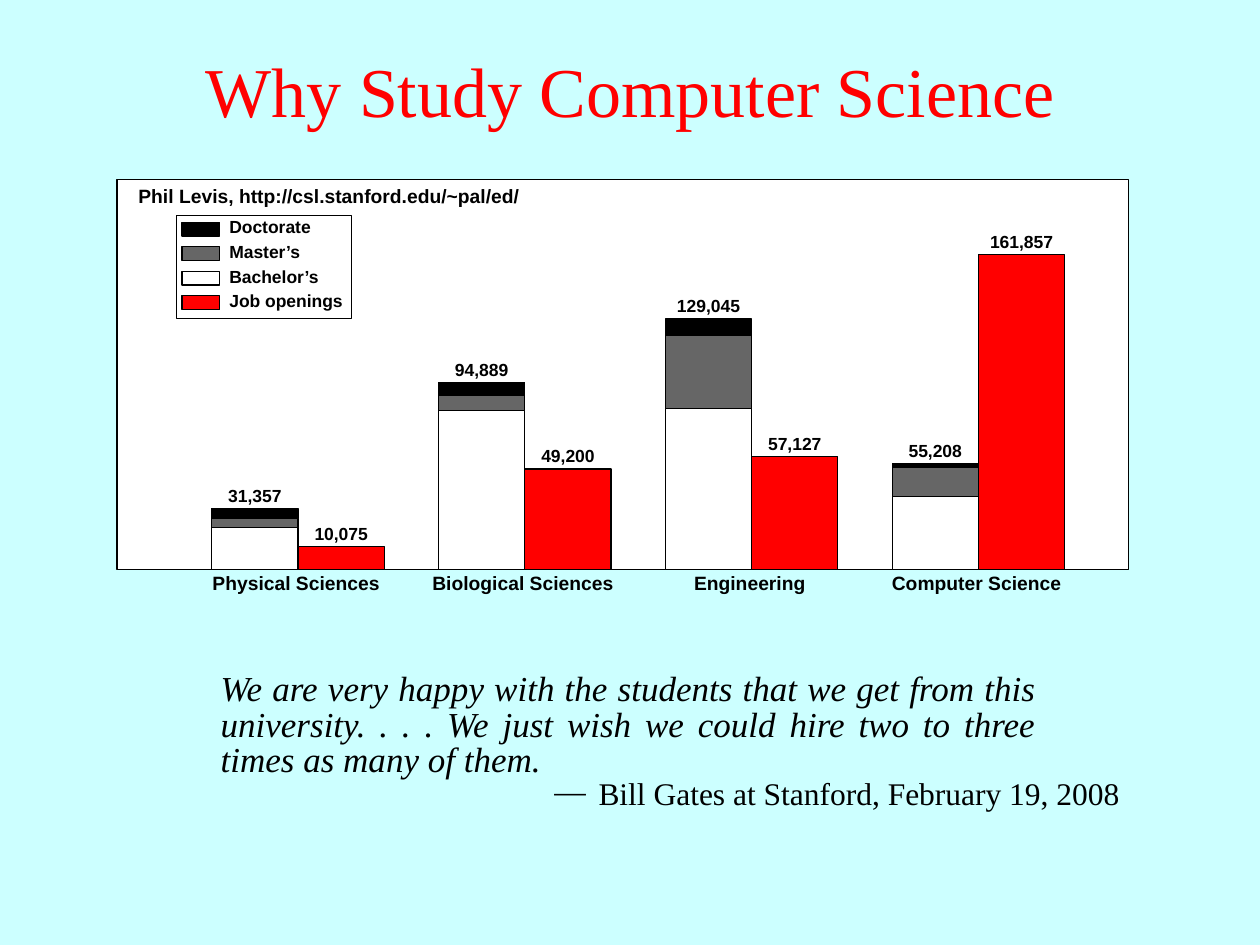
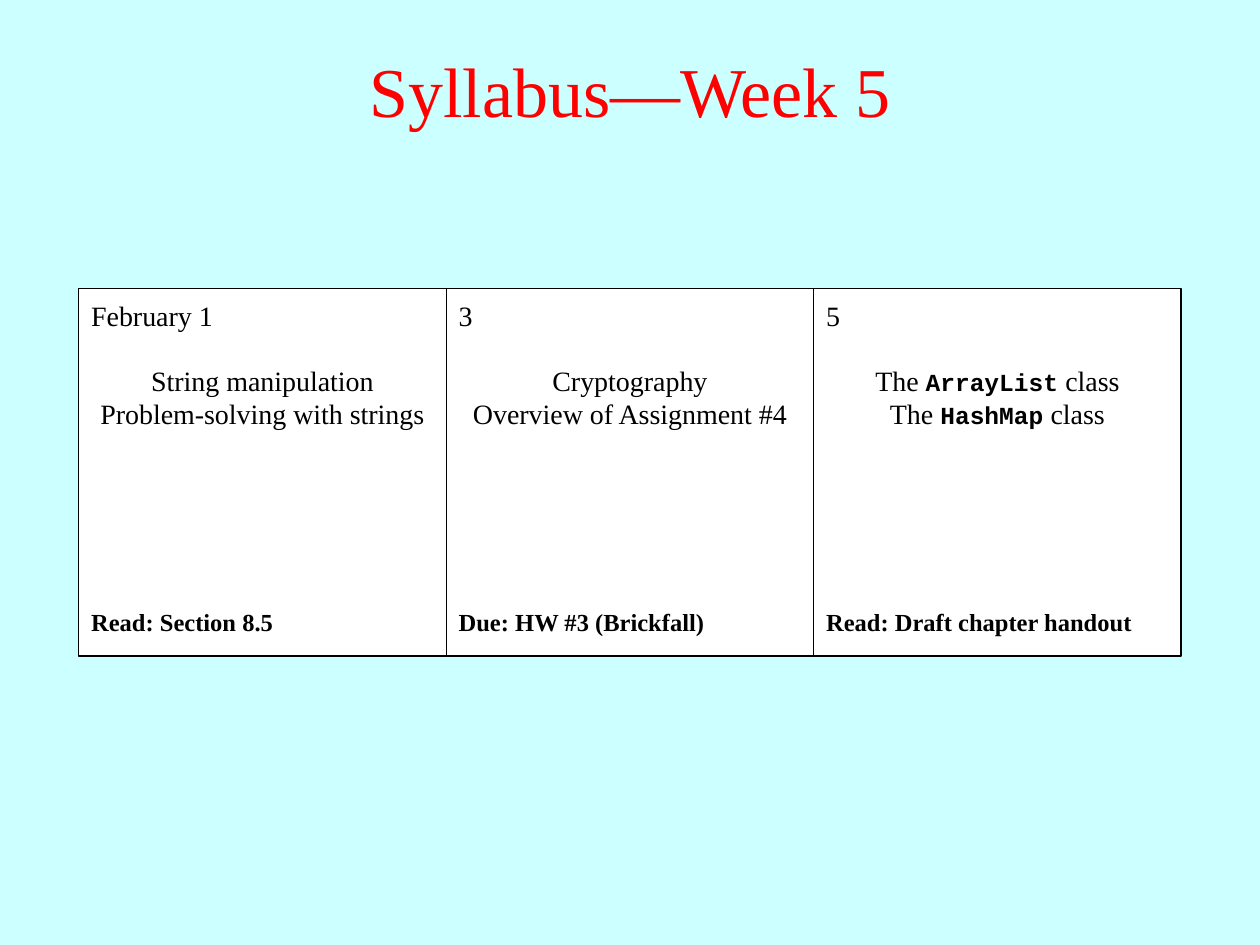
from dataclasses import dataclass

from pptx import Presentation
from pptx.dml.color import RGBColor
from pptx.enum.shapes import MSO_SHAPE
from pptx.enum.text import MSO_ANCHOR, MSO_AUTO_SIZE, PP_ALIGN
from pptx.presentation import Presentation as Deck
from pptx.shapes.autoshape import Shape
from pptx.slide import Slide
from pptx.util import Pt

RECTANGLE = MSO_SHAPE.RECTANGLE
TOP, MIDDLE = MSO_ANCHOR.TOP, MSO_ANCHOR.MIDDLE
NO_AUTOFIT = MSO_AUTO_SIZE.NONE
LEFT, CENTER, JUSTIFY = PP_ALIGN.LEFT, PP_ALIGN.CENTER, PP_ALIGN.JUSTIFY

# Shared look
PAGE_WIDTH, PAGE_HEIGHT = 720, 540
TITLE_ONLY_LAYOUT = 5
SERIF, SANS, MONO = "Times New Roman", "Arial", "Courier New"
BACKGROUND, BLACK, WHITE, GRAY, RED = "CCFFFF", "000000", "FFFFFF", "666666", "FF0000"

# Bar chart geometry
BASELINE = 325.4
FIRST_GROUP_LEFT, GROUP_PITCH = 121, 129.6
BAR_WIDTH = 49.3
VALUE_WIDTH, VALUE_RISE = 56, 17
CATEGORY_WIDTH = 144
LEGEND_PITCH = 14

# Syllabus geometry
CARD_LEFT, CARD_TOP, CARD_SIZE = 45, 165, 210


@dataclass(frozen=True)
class Span:
    text: str
    font: str
    size: float
    bold: bool = False


@dataclass(frozen=True)
class Field:
    """One pair of bars; heights are in points, degrees from the bottom up."""
    name: str
    degree_heights: tuple[float, float, float]
    degree_total: str
    job_height: float
    job_total: str


@dataclass(frozen=True)
class ClassDay:
    date: str
    topics: list[str | list[Span]]
    note: str


DEGREE_COLORS = (WHITE, GRAY, BLACK)
LEGEND = (("Doctorate", BLACK), ("Master’s", GRAY),
          ("Bachelor’s", WHITE), ("Job openings", RED))

FIELDS = (
    Field("Physical Sciences", (23.8, 5.4, 5.8), "31,357", 13, "10,075"),
    Field("Biological Sciences", (90.6, 8.8, 7.6), "94,889", 57.4, "49,200"),
    Field("Engineering", (92, 41.9, 9.2), "129,045", 64.6, "57,127"),
    Field("Computer Science", (41.6, 16.9, 2), "55,208", 180, "161,857"),
)


def class_topic(name: str) -> list[Span]:
    return [Span("The ", SERIF, 16), Span(name, MONO, 14, True),
            Span(" class", SERIF, 16)]


WEEK = (
    ClassDay("February 1", ["String manipulation", "Problem-solving with strings"],
             "Read: Section 8.5"),
    ClassDay("3", ["Cryptography", "Overview of Assignment #4"],
             "Due: HW #3 (Brickfall)"),
    ClassDay("5", [class_topic("ArrayList"), class_topic("HashMap")],
             "Read: Draft chapter handout"),
)


def color(value: str) -> RGBColor:
    return RGBColor.from_string(value)


def write_text(box: Shape, paragraphs: list[str | list[Span]], *, font: str = SERIF,
               size: float = 16, text_color: str = BLACK, bold: bool = False,
               italic: bool = False, align: PP_ALIGN = LEFT,
               anchor: MSO_ANCHOR = TOP, spacing: float = 1.0,
               side_margin: float = 7.2) -> None:
    frame = box.text_frame
    frame.word_wrap = True
    frame.auto_size = NO_AUTOFIT
    frame.vertical_anchor = anchor
    frame.margin_left = frame.margin_right = Pt(side_margin)
    for index, content in enumerate(paragraphs):
        para = frame.add_paragraph() if index else frame.paragraphs[0]
        para.alignment = align
        para.line_spacing = spacing
        spans = [Span(content, font, size, bold)] if isinstance(content, str) else content
        for span in spans:
            run = para.add_run()
            run.text = span.text
            run.font.name = span.font
            run.font.size = Pt(span.size)
            run.font.bold = span.bold
            run.font.italic = italic
            run.font.color.rgb = color(text_color)


def add_text(page: Slide, left: float, top: float, width: float, height: float,
             *paragraphs: str | list[Span], **text_format) -> None:
    box = page.shapes.add_textbox(Pt(left), Pt(top), Pt(width), Pt(height))
    write_text(box, list(paragraphs), **text_format)


def add_box(page: Slide, left: float, top: float, width: float, height: float,
            fill: str = WHITE) -> None:
    box = page.shapes.add_shape(RECTANGLE, Pt(left), Pt(top), Pt(width), Pt(height))
    box.shadow.inherit = False
    box.fill.solid()
    box.fill.fore_color.rgb = color(fill)
    box.line.color.rgb = color(BLACK)
    box.line.width = Pt(0.75)


def add_page(deck: Deck, heading: str) -> Slide:
    page = deck.slides.add_slide(deck.slide_layouts[TITLE_ONLY_LAYOUT])
    title = page.shapes.title
    title.left, title.top = Pt(0), Pt(6)
    title.width, title.height = Pt(PAGE_WIDTH), Pt(90)
    write_text(title, [heading], size=40, text_color=RED, align=CENTER, anchor=MIDDLE)
    return page


def add_value(page: Slide, bar_left: float, bar_height: float, value: str) -> None:
    add_text(page, bar_left + (BAR_WIDTH - VALUE_WIDTH) / 2,
             BASELINE - bar_height - VALUE_RISE, VALUE_WIDTH, 19.4, value,
             font=SANS, size=10, bold=True, align=CENTER)


def add_field(page: Slide, left: float, field: Field) -> None:
    # Stacked degrees
    top = BASELINE
    for height, fill in zip(field.degree_heights, DEGREE_COLORS):
        top -= height
        add_box(page, left, top, BAR_WIDTH, height, fill)
    add_value(page, left, sum(field.degree_heights), field.degree_total)

    # Job openings
    job_left = left + BAR_WIDTH
    add_box(page, job_left, BASELINE - field.job_height, BAR_WIDTH, field.job_height, RED)
    add_value(page, job_left, field.job_height, field.job_total)

    # Category name below the baseline
    add_text(page, job_left - CATEGORY_WIDTH / 2 - 1, 322.6, CATEGORY_WIDTH, 21,
             field.name, font=SANS, size=11, bold=True, align=CENTER)


def add_legend(page: Slide) -> None:
    add_box(page, 100.8, 123, 100, 59)
    for index, (label, fill) in enumerate(LEGEND):
        drop = index * LEGEND_PITCH
        add_box(page, 104, 127 + drop, 21.5, 8, fill)
        add_text(page, 124, 120.2 + drop, 88, 19.4, label, font=SANS, size=10, bold=True)


def build_reasons(deck: Deck) -> None:
    page = add_page(deck, "Why Study Computer Science")

    # Chart panel
    add_box(page, 66.8, 102.4, 578, 223)
    add_legend(page)
    for index, field in enumerate(FIELDS):
        add_field(page, FIRST_GROUP_LEFT + index * GROUP_PITCH, field)
    add_text(page, 72, 101.5, 264, 21, "Phil Levis, http://csl.stanford.edu/~pal/ed/",
             font=SANS, size=11, bold=True)

    # Quotation and speaker
    add_text(page, 119, 381, 480, 70,
             "We are very happy with the students that we get from this university. "
             ". . . We just wish we could hire two to three times as many of them.",
             size=20, italic=True, align=JUSTIFY, spacing=0.85)
    add_text(page, 342, 442, 300, 26.6, "Bill Gates at Stanford, February 19, 2008",
             size=18, spacing=0.85, side_margin=0)
    add_text(page, 316.8, 440.6, 24, 26.6, "—", size=18, spacing=0.85, side_margin=0)


def build_syllabus(deck: Deck) -> None:
    page = add_page(deck, "Syllabus—Week 5")
    for index, day in enumerate(WEEK):
        left = CARD_LEFT + index * CARD_SIZE
        add_box(page, left, CARD_TOP, CARD_SIZE, CARD_SIZE)
        add_text(page, left, CARD_TOP + 2, CARD_SIZE, 26.6, day.date)
        add_text(page, left, CARD_TOP + 39, CARD_SIZE, 46, *day.topics, align=CENTER)
        add_text(page, left, CARD_TOP + 180, CARD_SIZE, 22, day.note,
                 size=14, bold=True, spacing=0.9)


def main() -> None:
    deck = Presentation()
    deck.slide_width, deck.slide_height = Pt(PAGE_WIDTH), Pt(PAGE_HEIGHT)
    background = deck.slide_master.background.fill
    background.solid()
    background.fore_color.rgb = color(BACKGROUND)
    build_reasons(deck)
    build_syllabus(deck)
    deck.save("out.pptx")


if __name__ == "__main__":
    main()
